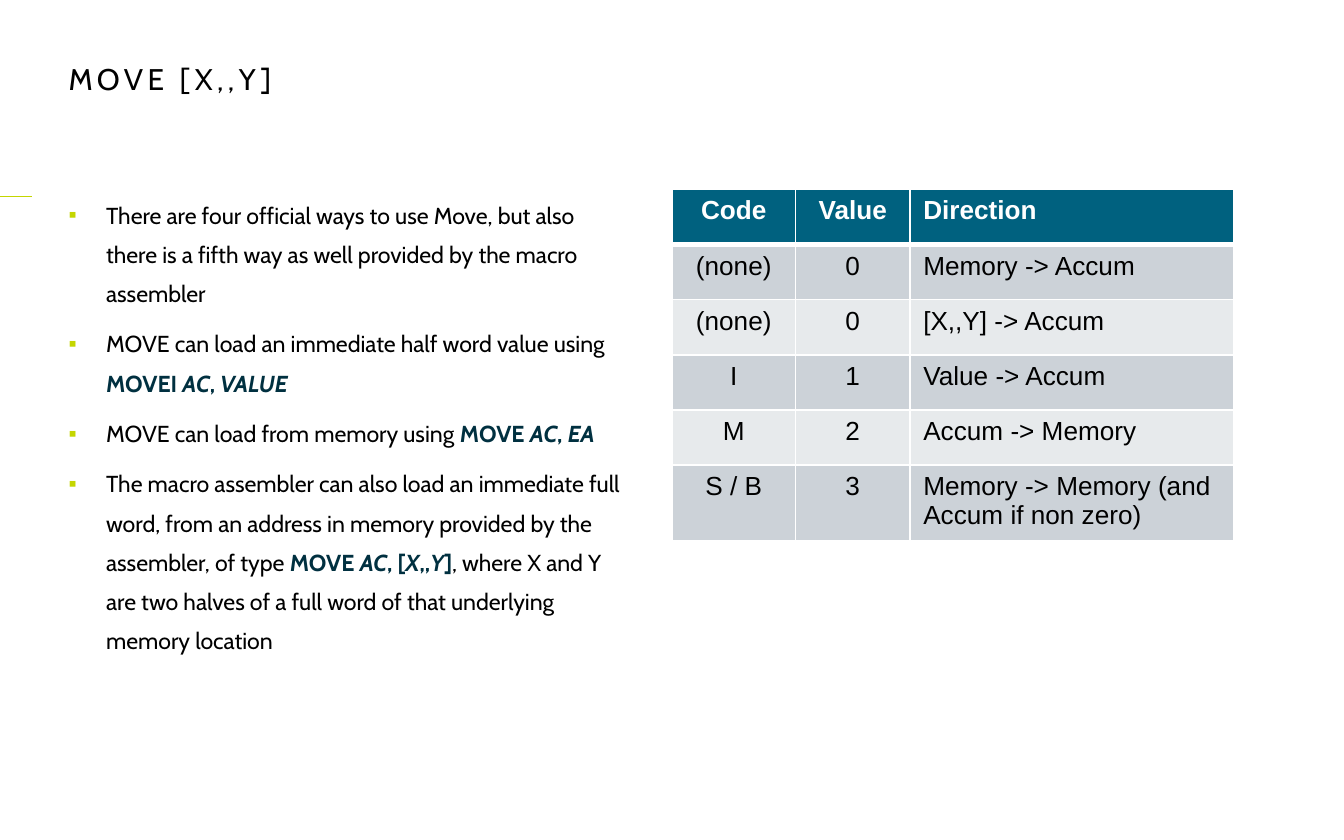
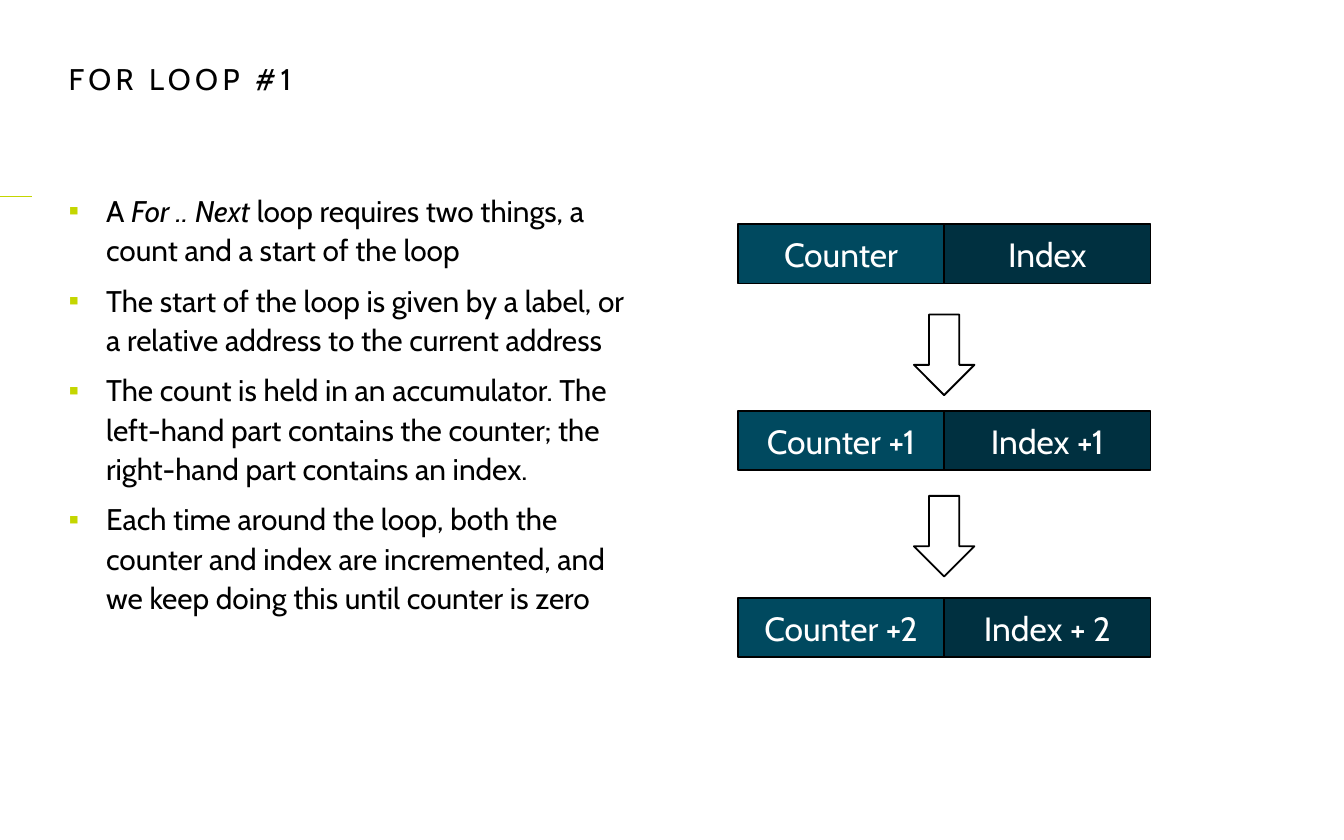
from dataclasses import dataclass
from typing import NamedTuple

from lxml.etree import SubElement
from pptx import Presentation
from pptx.dml.color import RGBColor
from pptx.enum.shapes import MSO_CONNECTOR, MSO_SHAPE
from pptx.enum.text import MSO_ANCHOR, MSO_AUTO_SIZE, PP_ALIGN
from pptx.oxml.ns import qn
from pptx.util import Inches, Pt

PAGE_WIDTH, PAGE_HEIGHT = 10, 6.25
BODY_FONT, TABLE_FONT = "Cabin", "Arial"
BLACK, WHITE = "000000", "FFFFFF"
LIME, TEAL, PETROL, NAVY = "C4D600", "00617F", "00495F", "003040"
STRIPES = ("CCD2D8", "E7EAEC")

MARGIN, TEXT_WIDTH = 5.1, 41.8
CONTENT_TOP, CONTENT_HEIGHT = 22.56, 65.28


class Span(NamedTuple):
    text: str
    code: bool = False
    italic: bool = False


@dataclass(frozen=True)
class Register:
    counter: str
    index: str


MOVE_POINTS = [
    [Span("There are four official ways to use Move, but also there is a fifth way "
          "as well provided by the macro assembler")],
    [Span("MOVE can load an immediate half word value using "),
     Span("MOVEI ", True), Span("AC", True, True), Span(", ", True), Span("VALUE", True, True)],
    [Span("MOVE can load from memory using "),
     Span("MOVE ", True), Span("AC", True, True), Span(", ", True), Span("EA", True, True)],
    [Span("The macro assembler can also load an immediate full word, from an address "
          "in memory provided by the assembler, of type "),
     Span("MOVE ", True), Span("AC", True, True), Span(", [", True), Span("X", True, True),
     Span(",,", True), Span("Y", True, True), Span("]", True),
     Span(", where X and Y are two halves of a full word of that underlying memory location")],
]

LOOP_POINTS = [
    [Span("A "), Span("For .. Next ", italic=True),
     Span("loop requires two things, a count and a start of the loop")],
    [Span("The start of the loop is given by a label, or a relative address "
          "to the current address")],
    [Span("The count is held in an accumulator. The left-hand part contains the counter; "
          "the right-hand part contains an index.")],
    [Span("Each time around the loop, both the counter and index are incremented, "
          "and we keep doing this until counter is zero")],
]

MOVE_CODES = [
    ("Code", "Value", "Direction"),
    ("(none)", "0", "Memory -> Accum"),
    ("(none)", "0", "[X,,Y] -> Accum"),
    ("I", "1", "Value -> Accum"),
    ("M", "2", "Accum -> Memory"),
    ("S / B", "3", "Memory -> Memory (and Accum if non zero)"),
]

REGISTERS = [
    Register("Counter", "Index"),
    Register("Counter +1", "Index +1"),
    Register("Counter +2", "Index + 2"),
]


def across(percent: float) -> int:
    return Inches(PAGE_WIDTH * percent / 100)


def down(percent: float) -> int:
    return Inches(PAGE_HEIGHT * percent / 100)


def area(left: float, top: float, width: float, height: float) -> tuple:
    return across(left), down(top), across(width), down(height)


def rgb(color: str) -> RGBColor:
    return RGBColor.from_string(color)


def add_span(para, text: str, *, size: float, font: str = BODY_FONT, color: str = BLACK,
             bold: bool = False, italic: bool = False, tracking: int = 0) -> None:
    span = para.add_run()
    span.text = text
    span.font.size = Pt(size)
    span.font.name = font
    span.font.bold = bold
    span.font.italic = italic
    span.font.color.rgb = rgb(color)
    if tracking:
        span.font._element.set("spc", str(tracking))


def clear_insets(frame) -> None:
    frame.margin_left = frame.margin_top = frame.margin_right = frame.margin_bottom = 0
    frame.word_wrap = True
    frame.vertical_anchor = MSO_ANCHOR.TOP


def add_rule(page) -> None:
    height = down(23.36)
    rule = page.shapes.add_connector(MSO_CONNECTOR.STRAIGHT, 0, height, across(2.4), height)
    rule.line.color.rgb = rgb(LIME)
    rule.line.width = Pt(0.5)
    SubElement(rule._element.spPr, qn("a:effectLst"))


def set_bullet(para) -> None:
    properties = para._p.get_or_add_pPr()
    properties.set("marL", str(Inches(0.28)))
    properties.set("indent", str(Inches(-0.28)))
    bullet_color = SubElement(properties, qn("a:buClr"))
    SubElement(bullet_color, qn("a:srgbClr"), val=LIME)
    SubElement(properties, qn("a:buFont"), typeface=TABLE_FONT)
    SubElement(properties, qn("a:buChar"), char="▪")


def add_points(page, points: list, size: float) -> None:
    box = page.shapes.add_textbox(*area(MARGIN, CONTENT_TOP, TEXT_WIDTH, CONTENT_HEIGHT))
    frame = box.text_frame
    clear_insets(frame)
    for number, spans in enumerate(points):
        para = frame.add_paragraph() if number else frame.paragraphs[0]
        para.line_spacing = Pt(21)
        para.space_after = Pt(6)
        set_bullet(para)
        for span in spans:
            add_span(para, span.text, size=size, color=NAVY if span.code else BLACK,
                     bold=span.code, italic=span.italic)


def add_page(deck, title: str, points: list, size: float):
    page = deck.slides.add_slide(deck.slide_layouts[5])
    add_rule(page)
    heading = page.shapes.title
    heading.left, heading.top, heading.width, heading.height = area(MARGIN, 7.2, 59.8, 4.32)
    frame = heading.text_frame
    clear_insets(frame)
    frame.auto_size = MSO_AUTO_SIZE.SHAPE_TO_FIT_TEXT
    para = frame.paragraphs[0]
    para.alignment = PP_ALIGN.LEFT
    add_span(para, title, size=16, tracking=240)
    add_points(page, points, size)
    return page


def set_borders(cell, top: float, bottom: float) -> None:
    properties = cell._tc.get_or_add_tcPr()
    for side, width in (("L", 1), ("R", 1), ("T", top), ("B", bottom)):
        border = SubElement(properties, qn(f"a:ln{side}"), w=str(Pt(width)))
        fill = SubElement(border, qn("a:solidFill"))
        SubElement(fill, qn("a:srgbClr"), val=WHITE)


def add_code_table(page) -> None:
    widths = (9.2, 8.5, 24.1)
    row_height = 6.56
    table = page.shapes.add_table(
        len(MOVE_CODES), len(widths),
        *area(50, CONTENT_TOP, sum(widths), row_height * len(MOVE_CODES))).table
    for column, width in zip(table.columns, widths):
        column.width = across(width)
    for row, texts in enumerate(MOVE_CODES):
        header = row == 0
        table.rows[row].height = down(row_height)
        for column, text in enumerate(texts):
            cell = table.cell(row, column)
            set_borders(cell, top=3 if row == 1 else 1, bottom=3 if header else 1)
            cell.fill.solid()
            cell.fill.fore_color.rgb = rgb(TEAL if header else STRIPES[(row - 1) % 2])
            para = cell.text_frame.paragraphs[0]
            para.alignment = PP_ALIGN.LEFT if column == 2 else PP_ALIGN.CENTER
            add_span(para, text, size=14, font=TABLE_FONT,
                     color=WHITE if header else BLACK, bold=header)


def add_outlined(page, kind: MSO_SHAPE, place: tuple):
    shape = page.shapes.add_shape(kind, *place)
    shape.shadow.inherit = False
    shape.fill.background()
    shape.line.color.rgb = rgb(BLACK)
    shape.line.width = Pt(1)
    return shape


def add_register_half(page, text: str, color: str, place: tuple) -> None:
    box = add_outlined(page, MSO_SHAPE.RECTANGLE, place)
    box.fill.solid()
    box.fill.fore_color.rgb = rgb(color)
    box.text_frame.vertical_anchor = MSO_ANCHOR.MIDDLE
    para = box.text_frame.paragraphs[0]
    para.alignment = PP_ALIGN.CENTER
    add_span(para, text, size=18, color=WHITE)


def add_register_steps(page) -> None:
    left, width = 54.9, 15.35
    for step, register in enumerate(REGISTERS):
        top = 26.72 + 22.24 * step
        halves = ((register.counter, PETROL), (register.index, NAVY))
        for side, (text, color) in enumerate(halves):
            add_register_half(page, text, color, area(left + width * side, top, width, 7.04))
    arrow_width = 4.5
    for step in range(len(REGISTERS) - 1):
        add_outlined(page, MSO_SHAPE.DOWN_ARROW,
                     area(left + width - arrow_width / 2, 37.44 + 21.6 * step, arrow_width, 9.6))


def main() -> None:
    deck = Presentation()
    deck.slide_width, deck.slide_height = Inches(PAGE_WIDTH), Inches(PAGE_HEIGHT)
    add_code_table(add_page(deck, "MOVE [X,,Y]", MOVE_POINTS, 12.4))
    add_register_steps(add_page(deck, "FOR LOOP #1", LOOP_POINTS, 16))
    deck.save("out.pptx")


if __name__ == "__main__":
    main()
